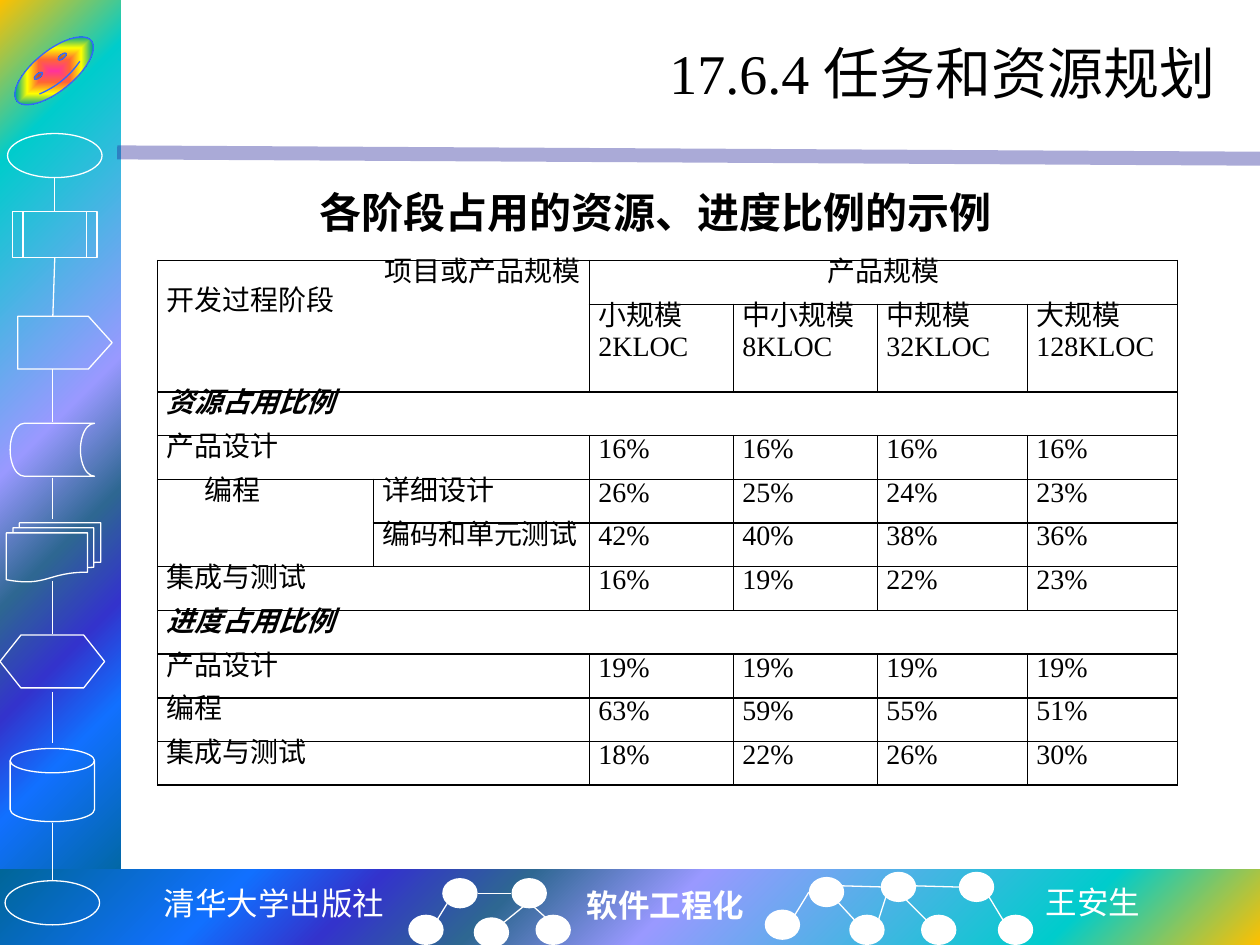
from pptx import Presentation
from pptx import util as u
from pptx.dml.color import RGBColor
from pptx.enum import shapes, text
from pptx.oxml import parse_xml
from pptx.oxml.ns import nsdecls, qn
from lxml import etree

Pt = u.Pt
KIND = shapes.MSO_SHAPE
ALIGN = text.PP_ALIGN
SERIF, MONO, SANS = "Times New Roman", "Courier New", "Noto Sans CJK SC"
WHITE, BLACK = "FFFFFF", "000000"

SKY = [(0, "FFC000"), (16, "00CCCC"), (47, "9999FF"), (60, "2E6792"),
       (71, "3333CC"), (81, "1170FF"), (100, "006699")]
RAINBOW = [(0, "FF3399"), (25, "FF6633"), (50, "FFFF00"), (75, "01A78F"), (100, "3366FF")]

# Flowchart symbols down the left band: kind, left, top, width, height
SYMBOLS = [
    (KIND.OVAL, 4.3, 76.3, 54, 25.2),
    (KIND.FLOWCHART_PREDEFINED_PROCESS, 7.2, 121, 48.2, 26.3),
    (KIND.PENTAGON, 10.1, 180.7, 54, 30.2),
    (KIND.FLOWCHART_STORED_DATA, 5.8, 241.9, 48.2, 30.2),
    (KIND.FLOWCHART_MULTIDOCUMENT, 3.6, 298.8, 54, 33.8),
    (KIND.FLOWCHART_PREPARATION, 0, 362.9, 59.8, 30.2),
    (KIND.FLOWCHART_MAGNETIC_DISK, 5.8, 427.7, 48.2, 41.8),
    (KIND.OVAL, 2.9, 503.3, 54, 25.2),
]
FLOW_X = 30.2
FLOW_GAPS = [(211, 241.2), (272.9, 296.6), (331.9, 362.2), (395.3, 424.8), (470.2, 503.3)]

# Networks in the bottom band: node corners, then link ends
NODE_W, NODE_H = 20.2, 17.3
NODES = [(252.7, 501.8), (292.3, 501.8), (233.3, 522.7), (270.7, 524.2), (306, 522.7),
         (462.2, 501.1), (503.3, 498.2), (547.9, 498.2), (437, 519.8), (485.3, 522.7),
         (526.3, 522.7), (570.2, 522.7)]
LINKS = [(249.8, 525.6, 255.6, 516.2), (288, 527, 299.5, 517.7), (292.3, 510.5, 272.9, 510.5),
         (312.5, 524.9, 305.3, 518.4), (488.2, 525.6, 478.8, 515.5), (529.2, 525.6, 514.8, 511.2),
         (573.1, 525.6, 565.2, 512.6), (501.8, 526.3, 506.2, 512.6), (522.7, 506.2, 547.9, 506.9),
         (454.3, 522.7, 462.2, 509.8), (481, 506.2, 506.2, 506.9)]

# text, box, size, font, colour, bold, alignment, wraps
TEXTS = [
    ("清华大学出版社", (85.7, 501.8, 141.8, 28.8), 18, MONO, WHITE, False, ALIGN.CENTER, False),
    ("软件工程化", (328.3, 502.6, 105.1, 28.8), 18, SERIF, WHITE, True, ALIGN.LEFT, False),
    ("王安生", (590.4, 501.1, 69.1, 28.8), 18, SANS, WHITE, False, ALIGN.LEFT, False),
    ("17.6.4 任务和资源规划", (90, 12.2, 612, 58.3), 32, SERIF, BLACK, False, ALIGN.RIGHT, True),
    ("各阶段占用的资源、进度比例的示例", (175.7, 103, 428.4, 36), 24, SERIF, BLACK, True,
     ALIGN.LEFT, True),
]

TABLE_LEFT, TABLE_TOP, ROW_H = 90, 149, 25
COLUMNS = [123.4, 123.4, 82.3, 82.3, 85.7, 85.7]
ROWS = [
    ["项目或产品规模\n开发过程阶段", "", "产品规模", "", "", ""],
    ["", "", "小规模\n2KLOC", "中小规模\n8KLOC", "中规模\n32KLOC", "大规模\n128KLOC"],
    ["资源占用比例", "", "", "", "", ""],
    ["产品设计", "", "16%", "16%", "16%", "16%"],
    ["编程", "详细设计", "26%", "25%", "24%", "23%"],
    ["", "编码和单元测试", "42%", "40%", "38%", "36%"],
    ["集成与测试", "", "16%", "19%", "22%", "23%"],
    ["进度占用比例", "", "", "", "", ""],
    ["产品设计", "", "19%", "19%", "19%", "19%"],
    ["编程", "", "63%", "59%", "55%", "51%"],
    ["集成与测试", "", "18%", "22%", "26%", "30%"],
]
SECTIONS = (2, 7)
MERGES = [(0, 0, 1, 1), (0, 2, 0, 5), (4, 0, 5, 0)]
MERGES += [(r, 0, r, 5) for r in SECTIONS] + [(r, 0, r, 1) for r in (3, 6, 8, 9, 10)]
ALIGNMENTS = {(0, 0, 0): ALIGN.RIGHT, (0, 2, 0): ALIGN.CENTER}  # row, column, line
INDENTS = {(4, 0): (0, 21.6)}


def color(hex_value):
    return RGBColor.from_string(hex_value)


def add_shape(slide, kind, box, fill=None, line=None):
    shape = slide.shapes.add_shape(kind, *map(Pt, box))
    shape.shadow.inherit = False
    shape.fill.background()
    if fill:
        shape.fill.solid()
        shape.fill.fore_color.rgb = color(fill)
    if line:
        shape.line.color.rgb = color(line)
        shape.line.width = Pt(0.75)
    else:
        shape.line.fill.background()
    return shape


def fill_path_gradient(shape, stops, path, focus):
    """Spread the stops outward from focus, given as left, top, right, bottom percent."""
    marks = "".join(f'<a:gs pos="{pos * 1000}"><a:srgbClr val="{rgb}"/></a:gs>' for pos, rgb in stops)
    rect = " ".join(f'{side}="{value * 1000}"' for side, value in zip("ltrb", focus))
    gradient = parse_xml(f'<a:gradFill {nsdecls("a")} rotWithShape="1"><a:gsLst>{marks}</a:gsLst>'
                         f'<a:path path="{path}"><a:fillToRect {rect}/></a:path></a:gradFill>')
    properties = shape._element.spPr
    properties.replace(properties.find(qn("a:noFill")), gradient)


def add_line(slide, ends, rgb=WHITE, width=0.75):
    line = slide.shapes.add_connector(shapes.MSO_CONNECTOR.STRAIGHT, *map(Pt, ends))
    line.line.color.rgb = color(rgb)
    line.line.width = Pt(width)
    etree.SubElement(line._element.spPr, qn("a:effectLst"))
    return line


def style(paragraph, size, font, rgb, bold=False, italic=False):
    face = paragraph.font
    face.size, face.name, face.bold, face.italic = Pt(size), font, bold, italic
    face.color.rgb = color(rgb)


def add_text(slide, words, box, size, font, rgb, bold, align, wraps):
    frame = slide.shapes.add_textbox(*map(Pt, box)).text_frame
    frame.word_wrap = wraps
    frame.vertical_anchor = text.MSO_ANCHOR.MIDDLE
    frame.text = words
    frame.paragraphs[0].alignment = align
    style(frame.paragraphs[0], size, font, rgb, bold)


def format_cell(cell, r, c):
    cell.margin_left = cell.margin_right = Pt(5.2)
    cell.margin_top = cell.margin_bottom = 0
    properties = cell._tc.get_or_add_tcPr()
    for side in ("lnL", "lnR", "lnT", "lnB"):
        properties.append(parse_xml(
            f'<a:{side} {nsdecls("a")} w="{Pt(1)}"><a:solidFill><a:srgbClr val="{BLACK}"/>'
            f'</a:solidFill></a:{side}>'))
    cell.fill.background()
    margin, indent = INDENTS.get((r, c), (10.8, -10.8))
    for i, paragraph in enumerate(cell.text_frame.paragraphs):
        paragraph.alignment = ALIGNMENTS.get((r, c, i), ALIGN.JUSTIFY)
        paragraph.line_spacing = Pt(16.6)
        layout = paragraph._p.get_or_add_pPr()
        layout.set("marL", str(Pt(margin)))
        layout.set("indent", str(Pt(indent)))
        style(paragraph, 16, SERIF, BLACK, r in SECTIONS, r in SECTIONS)


def add_ratio_table(slide):
    heights = [ROW_H * (2 if r == 1 else 1) for r in range(len(ROWS))]
    table = slide.shapes.add_table(len(ROWS), len(COLUMNS), Pt(TABLE_LEFT), Pt(TABLE_TOP),
                                   Pt(sum(COLUMNS)), Pt(sum(heights))).table
    table.first_row = table.horz_banding = False
    for column, width in zip(table.columns, COLUMNS):
        column.width = Pt(width)
    for r, values in enumerate(ROWS):
        table.rows[r].height = Pt(heights[r])
        for c, value in enumerate(values):
            table.cell(r, c).text = value
            format_cell(table.cell(r, c), r, c)
    for top, left, bottom, right in MERGES:
        table.cell(top, left).merge(table.cell(bottom, right))


def main():
    deck = Presentation()
    deck.slide_width, deck.slide_height = Pt(720), Pt(540)
    slide = deck.slides.add_slide(deck.slide_layouts[6])

    left_band = add_shape(slide, KIND.RECTANGLE, (0, 0, 69.1, 510.5))
    fill_path_gradient(left_band, SKY, "circle", (0, 0, 100, 100))
    bottom_band = add_shape(slide, KIND.RECTANGLE, (0, 496.8, 720, 43.2))
    fill_path_gradient(bottom_band, SKY, "circle", (100, 100, 0, 0))
    rule = add_line(slide, (67, 87.1, 720, 90.7), "262699", 8)
    rule_color = rule.line._ln.find(".//" + qn("a:srgbClr"))
    etree.SubElement(rule_color, qn("a:alpha")).set("val", "39000")

    symbols = [add_shape(slide, kind, box, line=WHITE) for kind, *box in SYMBOLS]
    process, arrow = symbols[1:3]
    arrow.adjustments[0] = 0.45
    face = add_shape(slide, KIND.SMILEY_FACE, (3.6, 29, 54.7, 23), line="3366FF")
    face.adjustments[0] = 0.047
    face.rotation = -39
    fill_path_gradient(face, RAINBOW, "shape", (50, 50, 50, 50))

    add_line(slide, (31.3, 101.5, 31.3, 121)).end_connect(process, 0)
    add_line(slide, (31.3, 147.3, FLOW_X, 180.7)).begin_connect(process, 2)
    for top, bottom in FLOW_GAPS:
        add_line(slide, (FLOW_X, top, FLOW_X, bottom))
    for corner in NODES:
        add_shape(slide, KIND.OVAL, (*corner, NODE_W, NODE_H), fill=WHITE)
    for ends in LINKS:
        add_line(slide, ends)

    for item in TEXTS:
        add_text(slide, *item)
    add_ratio_table(slide)
    deck.save("out.pptx")


if __name__ == "__main__":
    main()
